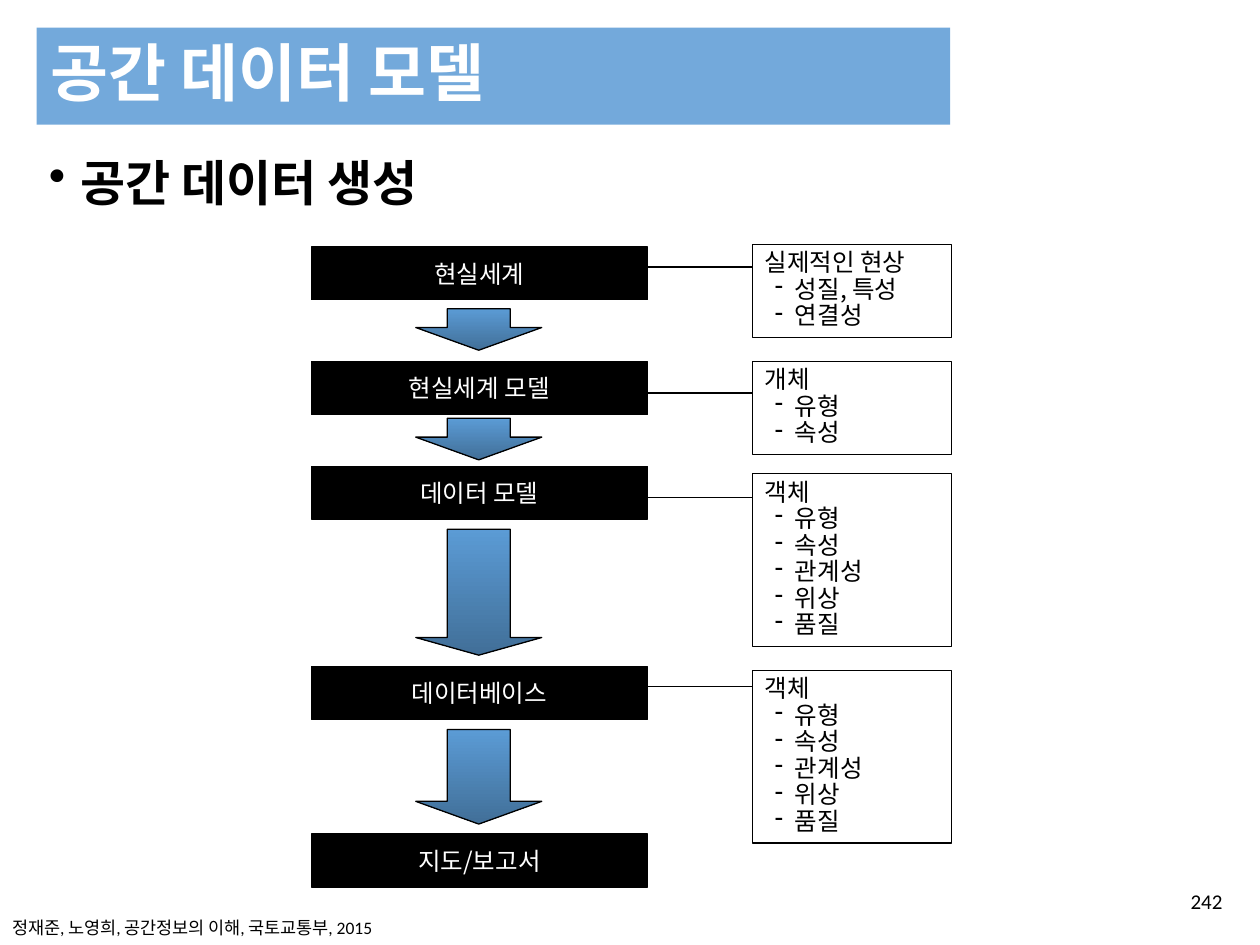
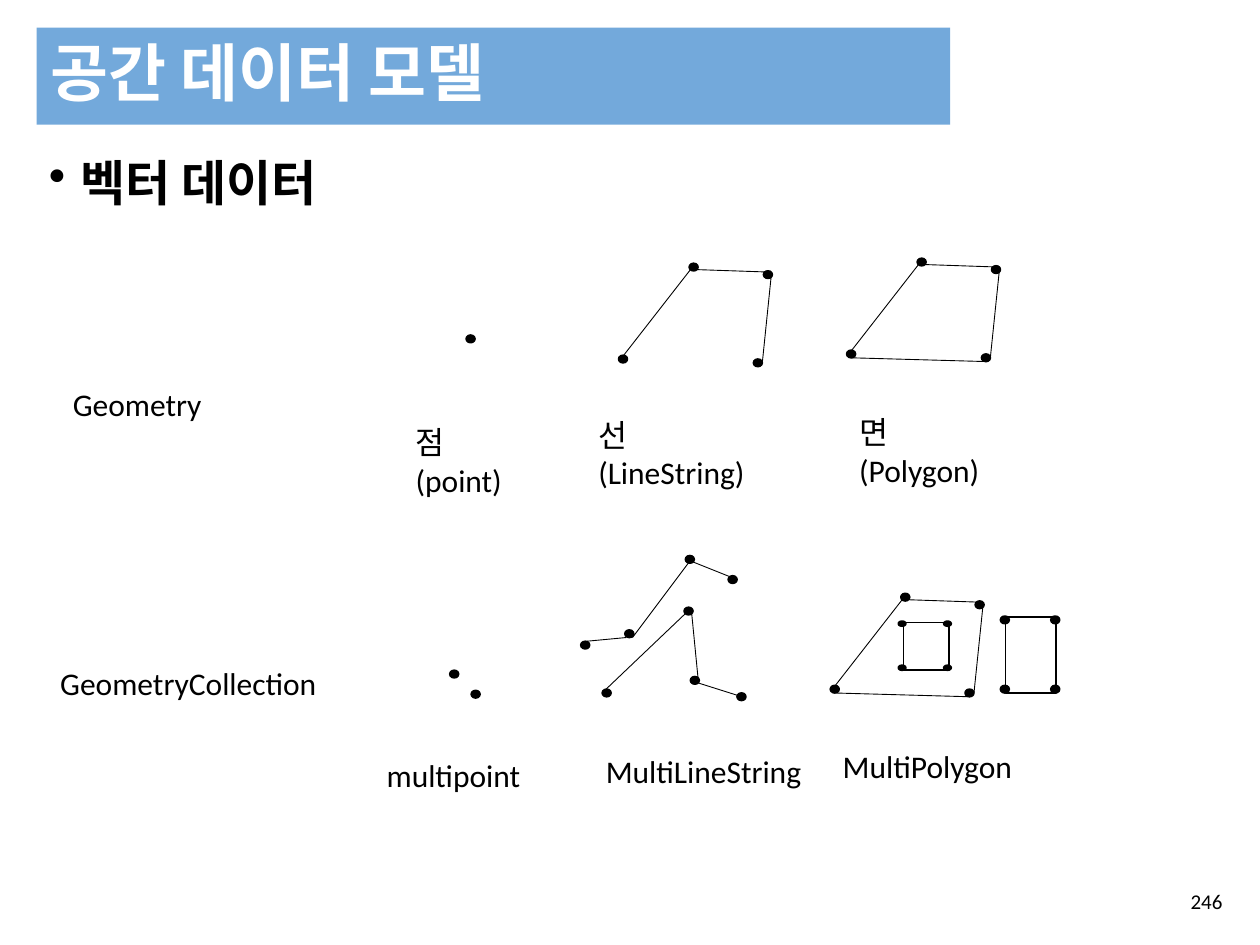
from lxml import etree
from pptx import Presentation
from pptx.dml.color import RGBColor
from pptx.enum.shapes import MSO_CONNECTOR, MSO_SHAPE
from pptx.enum.text import MSO_ANCHOR, PP_ALIGN
from pptx.oxml.ns import qn
from pptx.util import Inches, Pt

RECT, OVAL, ARROW = MSO_SHAPE.RECTANGLE, MSO_SHAPE.OVAL, MSO_SHAPE.DOWN_ARROW
LINE = MSO_CONNECTOR.STRAIGHT
TOP, MIDDLE = MSO_ANCHOR.TOP, MSO_ANCHOR.MIDDLE
LEFT, CENTER, RIGHT = PP_ALIGN.LEFT, PP_ALIGN.CENTER, PP_ALIGN.RIGHT

BLACK = RGBColor(0x00, 0x00, 0x00)
WHITE = RGBColor(0xFF, 0xFF, 0xFF)
BLUE = RGBColor(0x5B, 0x9B, 0xD5)
NAVY = RGBColor(0x41, 0x6F, 0x98)
LATIN, KOREAN = "Calibri", "Noto Sans CJK KR"

DOT_W, DOT_H = 0.07, 0.06


class Deck:
    """Holds the shared style and the slide being drawn."""

    def __init__(self):
        self.prs = Presentation()
        self.prs.slide_width = Inches(10)
        self.prs.slide_height = Inches(7.5)
        self.slide = None

    def start(self, topic, number):
        self.slide = self.prs.slides.add_slide(self.prs.slide_layouts[6])
        band = self.shape(RECT, 0.29, 0.22, 7.25, 0.77, BLUE)
        color = band.fill._xPr.find(".//" + qn("a:srgbClr"))
        etree.SubElement(color, qn("a:alpha"), val="85000")
        head = self.text("공간 데이터 모델", 0.3, 0.22, 7.25, 0.77, 36, WHITE, anchor=MIDDLE)
        body = self.text(topic, 0.29, 1.21, 9.3, 5.49, 28, bullet=("•", 0.25))
        for box in (head, body):
            para = box.text_frame.paragraphs[0]
            para.font.bold = True
            para.line_spacing = 0.9
        self.text(number, 7.55, 6.95, 2.25, 0.4, 12, align=RIGHT, anchor=MIDDLE)

    def shape(self, kind, x, y, w, h, fill=None, width=0):
        item = self.slide.shapes.add_shape(kind, Inches(x), Inches(y), Inches(w), Inches(h))
        item.shadow.inherit = False
        if fill is None:
            item.fill.background()
        else:
            item.fill.solid()
            item.fill.fore_color.rgb = fill
        if width:
            item.line.color.rgb = BLACK
            item.line.width = Pt(width)
        else:
            item.line.fill.background()
        return item

    def style(self, para, size, color, font, align=LEFT, bullet=None):
        """Format a paragraph; bullet is (mark, hanging indent, extra offset)."""
        para.alignment = align
        if bullet:
            mark, hang, *extra = bullet
            props = para._p.get_or_add_pPr()
            props.set("marL", str(Inches(hang + sum(extra))))
            props.set("indent", str(-Inches(hang)))
            etree.SubElement(props, qn("a:buChar"), char=mark)
        para.font.size = Pt(size)
        para.font.name = font
        para.font.color.rgb = color
        base = para._p.pPr.find(qn("a:defRPr"))
        etree.SubElement(base, qn("a:ea"), typeface=font)

    def text(self, words, x, y, w, h, size, color=BLACK, align=LEFT, anchor=TOP, bullet=None):
        box = self.slide.shapes.add_textbox(Inches(x), Inches(y), Inches(w), Inches(h))
        frame = box.text_frame
        frame.word_wrap = True
        frame.vertical_anchor = anchor
        para = frame.paragraphs[0]
        para.text = words
        self.style(para, size, color, LATIN, align, bullet)
        return box

    def label(self, words, x, y, w):
        self.text(words, x, y, w, 0.4, 18)

    def stage(self, words, y):
        box = self.shape(RECT, 2.47, y, 2.67, 0.42, BLACK, 0.75)
        frame = box.text_frame
        frame.vertical_anchor = MIDDLE
        para = frame.paragraphs[0]
        para.text = words
        self.style(para, 14, WHITE, KOREAN, CENTER)

    def note(self, head, items, y, h):
        frame = self.shape(RECT, 5.97, y, 1.58, h, None, 0.75).text_frame
        frame.vertical_anchor = TOP
        for i, words in enumerate([head] + items):
            para = frame.add_paragraph() if i else frame.paragraphs[0]
            para.text = words
            para.line_spacing = 0.9
            self.style(para, 14, BLACK, KOREAN, bullet=("-", 0.16, 0.08) if i else None)

    def arrow(self, y, h, head):
        item = self.shape(ARROW, 3.3, y, 1, h, BLUE, 0.75)
        item.adjustments[0] = 0.5
        item.adjustments[1] = head / h
        item.fill.gradient()
        item.fill.gradient_angle = 270
        for stop, color in zip(item.fill.gradient_stops, (BLUE, NAVY)):
            stop.color.rgb = color

    def line(self, x1, y1, x2, y2, width=0.5):
        item = self.slide.shapes.add_connector(LINE, Inches(x1), Inches(y1), Inches(x2), Inches(y2))
        item.line.color.rgb = BLACK
        item.line.width = Pt(width)
        etree.SubElement(item._element.spPr, qn("a:effectLst"))

    def dot(self, x, y, w=DOT_W, h=DOT_H):
        self.shape(OVAL, x, y, w, h, BLACK, 1)

    def quad(self, x, y, closed=True):
        """Four-point figure whose lower left dot is at x, y."""
        for dx, dy in ((0, 0), (0.56, -0.73), (1.15, -0.67), (1.07, 0.03)):
            self.dot(x + dx, y + dy)
        sides = [(0.04, 0, 0.57, -0.68), (0.62, -0.68, 1.21, -0.66), (1.14, 0.06, 1.21, -0.62)]
        if closed:
            sides.append((1.11, 0.09, 0.04, 0.06))
        for x1, y1, x2, y2 in sides:
            self.line(x + x1, y + y1, x + x2, y + y2)

    def frame(self, x, y, w, h, dot_w=DOT_W, dot_h=DOT_H):
        """Rectangle with a dot on each corner."""
        self.shape(RECT, x, y, w, h, WHITE, 1)
        for left in (x - 0.04, x + w - 0.04):
            for top in (y - 0.01, y + h - dot_h):
                self.dot(left, top, dot_w, dot_h)


def draw_flow(deck):
    deck.start("공간 데이터 생성", "242")
    stages = (("현실세계", 1.96), ("현실세계 모델", 2.87), ("데이터 모델", 3.7),
              ("데이터베이스", 5.29), ("지도/보고서", 6.62))
    for words, y in stages:
        deck.stage(words, y)
    traits = ["유형", "속성"]
    full = traits + ["관계성", "위상", "품질"]
    deck.note("실제적인 현상", ["성질, 특성", "연결성"], 1.94, 0.74)
    deck.note("개체", traits, 2.87, 0.74)
    for y in (3.76, 5.32):
        deck.note("객체", full, y, 1.37)
    for y in (2.12, 3.12, 3.95, 5.45):
        deck.line(5.97, y, 5.05, y, 0.75)
    for y, h, head in ((2.45, 0.33, 0.18), (3.32, 0.33, 0.18), (4.2, 1, 0.14), (5.79, 0.75, 0.18)):
        deck.arrow(y, h, head)
    deck.text("정재준, 노영희, 공간정보의 이해, 국토교통부, 2015", 0, 7.23, 3.6, 0.27, 10)


def draw_vector(deck):
    deck.start("벡터 데이터", "246")
    labels = (
        ("Geometry", 0.48, 3.01, 1.23), ("점\v(point)", 3.2, 3.31, 1.15),
        ("선\v(LineString)", 4.65, 3.25, 1.63), ("면\v(Polygon)", 6.72, 3.23, 1.42),
        ("GeometryCollection", 0.38, 5.22, 2.26), ("multipoint", 2.97, 5.95, 1.28),
        ("MultiLineString", 4.71, 5.92, 1.8), ("MultiPolygon", 6.59, 5.88, 1.56),
    )
    for item in labels:
        deck.label(*item)

    points = ((3.7, 2.66), (3.57, 5.32), (3.74, 5.48))
    upper = ((4.61, 5.09), (4.96, 5), (5.44, 4.41), (5.78, 4.57))
    lower = ((4.78, 5.47), (5.43, 4.82), (5.48, 5.37), (5.85, 5.5))
    for x, y in points + upper + lower:
        deck.dot(x, y)
    strings = (
        (4.65, 5.09, 4.97, 5.06), (5.02, 5.06, 5.5, 4.42), (5.85, 4.6, 5.5, 4.46),
        (4.81, 5.47, 5.44, 4.87), (5.49, 4.87, 5.54, 5.38), (5.92, 5.54, 5.54, 5.42),
    )
    for ends in strings:
        deck.line(*ends)

    deck.quad(4.91, 2.82, closed=False)
    deck.quad(6.72, 2.78)
    deck.quad(6.59, 5.44)
    deck.frame(7.98, 4.9, 0.4, 0.6)
    deck.frame(7.17, 4.94, 0.36, 0.38, 0.06, 0.04)


def main():
    deck = Deck()
    draw_flow(deck)
    draw_vector(deck)
    deck.prs.save("out.pptx")


if __name__ == "__main__":
    main()
